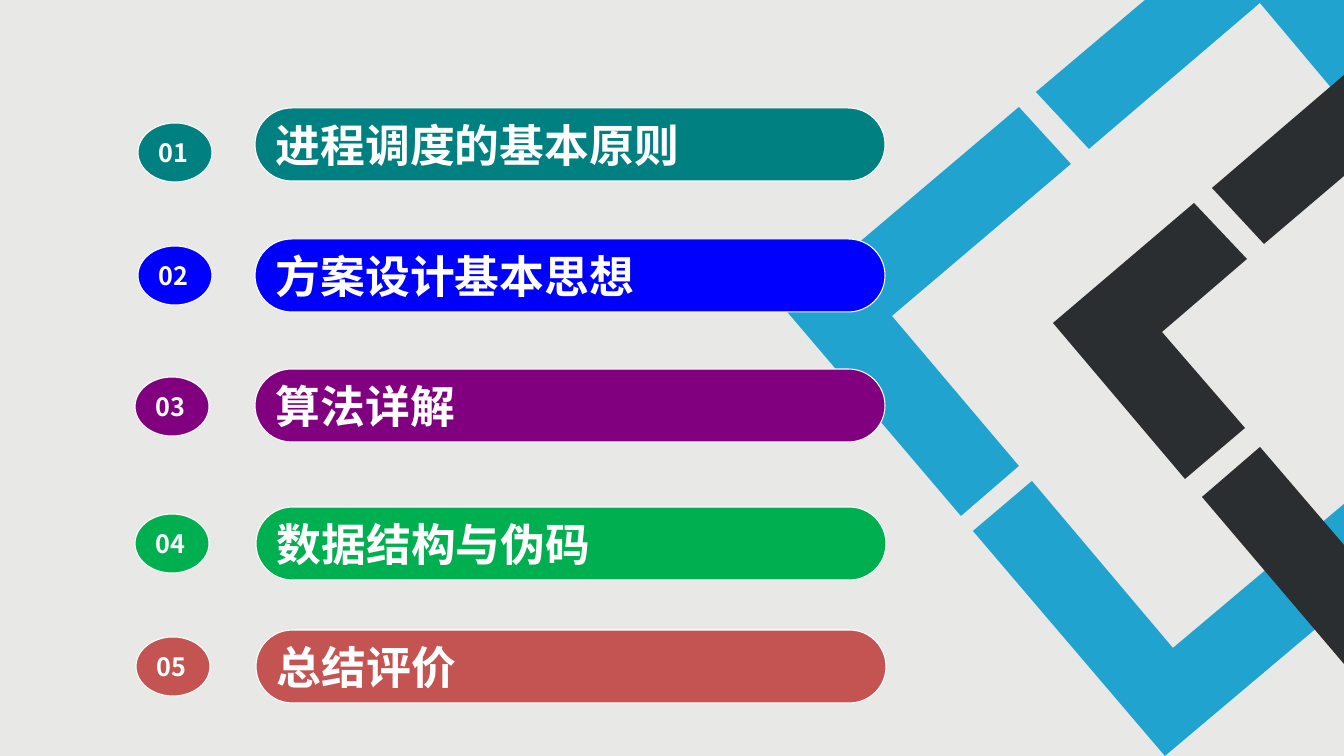
from dataclasses import dataclass

from lxml import etree
from pptx import Presentation
from pptx.dml.color import RGBColor
from pptx.enum.shapes import MSO_SHAPE
from pptx.enum.text import MSO_ANCHOR, PP_ALIGN
from pptx.oxml.ns import qn
from pptx.util import Pt

OVAL, PILL = MSO_SHAPE.OVAL, MSO_SHAPE.ROUNDED_RECTANGLE
LEFT, MIDDLE = PP_ALIGN.LEFT, MSO_ANCHOR.MIDDLE
PX = 914400 / 100.8


@dataclass(frozen=True)
class Theme:
    font: str = "Noto Sans CJK SC"
    background: str = "E8E8E6"
    blue: str = "21A3D0"
    dark: str = "2B2E30"
    white: str = "FFFFFF"
    number_size: int = 18
    title_size: int = 32
    outline: float = 0.75


THEME = Theme()
SLIDE_SIZE = (1344, 756)
OVAL_SIZE = (74, 59)
PILL_SIZE = (630, 73)

# title, colour, oval (left, top), pill (left, top)
AGENDA = [
    ("进程调度的基本原则", "008080", (138, 123), (255, 108)),
    ("方案设计基本思想", "0000FF", (138, 246), (255, 239)),
    ("算法详解", "800080", (135, 377), (255, 369)),
    ("数据结构与伪码", "00B050", (135, 514), (256, 507)),
    ("总结评价", "C35452", (136, 637), (256, 630)),
]

BLUE_BANDS = [
    [(1032, 481), (1173, 648), (1344, 504), (1344, 605), (1165, 756), (973, 531)],
    [(1019, 107), (1071, 164), (892, 316), (1019, 466), (961, 516), (783, 307)],
    [(1145, 0), (1344, 0), (1344, 103), (1260, 3), (1089, 149), (1036, 92)],
]
DARK_BANDS = [
    [(1260, 447), (1344, 545), (1344, 664), (1202, 497)],
    [(1194, 203), (1247, 259), (1162, 332), (1245, 428), (1185, 479), (1053, 323)],
    [(1344, 75), (1344, 176), (1264, 244), (1212, 188)],
]


def emu(px):
    return round(px * PX)


def rgb(value):
    return RGBColor.from_string(value)


def fill_shape(sp, color):
    sp.shadow.inherit = False
    sp.fill.solid()
    sp.fill.fore_color.rgb = rgb(color)


def add_bands(s, bands, color):
    """Draw several closed outlines as one freeform."""
    builder = s.shapes.build_freeform(*bands[0][0], scale=PX)
    for i, band in enumerate(bands):
        if i:
            builder.move_to(*band[0])
        builder.add_line_segments(band[1:], close=True)
    sp = builder.convert_to_shape()
    fill_shape(sp, color)
    sp.line.fill.background()


def add_label(s, kind, position, size, color, text, text_size):
    sp = s.shapes.add_shape(kind, *(emu(v) for v in position + size))
    fill_shape(sp, color)
    sp.line.color.rgb = rgb(THEME.white)
    sp.line.width = Pt(THEME.outline)
    if kind == PILL:
        sp.adjustments[0] = 0.5
    tf = sp.text_frame
    tf.vertical_anchor = MIDDLE
    p = tf.paragraphs[0]
    p.alignment = LEFT
    r = p.add_run()
    r.text = text
    r.font.size = Pt(text_size)
    r.font.bold = True
    r.font.color.rgb = rgb(THEME.white)
    r.font.name = THEME.font
    east_asian = etree.SubElement(r.font._element, qn("a:ea"))
    east_asian.set("typeface", THEME.font)


def main():
    prs = Presentation()
    prs.slide_width, prs.slide_height = (emu(v) for v in SLIDE_SIZE)
    s = prs.slides.add_slide(prs.slide_layouts[6])
    s.background.fill.solid()
    s.background.fill.fore_color.rgb = rgb(THEME.background)

    add_bands(s, BLUE_BANDS, THEME.blue)
    add_bands(s, DARK_BANDS, THEME.dark)
    for number, (title, color, oval_at, pill_at) in enumerate(AGENDA, 1):
        add_label(s, OVAL, oval_at, OVAL_SIZE, color, f"{number:02d}", THEME.number_size)
        add_label(s, PILL, pill_at, PILL_SIZE, color, title, THEME.title_size)
    prs.save("out.pptx")


if __name__ == "__main__":
    main()
